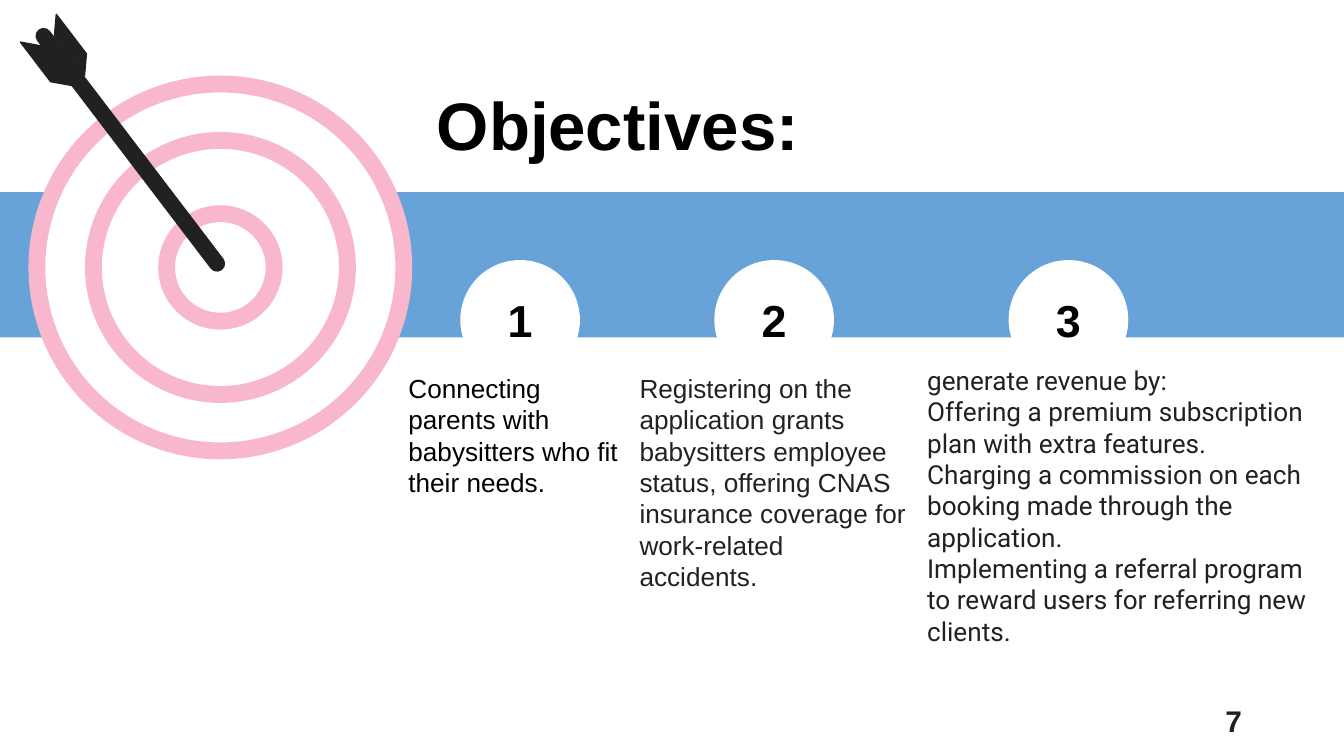
from pptx import Presentation
from pptx.dml.color import RGBColor
from pptx.enum import shapes, text
from pptx.util import Inches, Pt

BLUE, PINK, WHITE, BLACK, DARK = "67A3D9", "F8B7CD", "FFFFFF", "000000", "212121"
SHAPE = shapes.MSO_SHAPE
ALIGN = text.PP_ALIGN
ANCHOR = text.MSO_ANCHOR

OBJECTIVES = [
    {"circle": 3.43, "box": (2.94, 2.67, 1.85, 1.14), "font": "Arial", "color": BLACK,
     "lines": ["Connecting parents with babysitters who fit their needs."]},
    {"circle": 5.32, "box": (4.66, 2.67, 2.19, 1.62), "font": "Arial", "color": DARK,
     "lines": ["Registering on the application grants babysitters employee status, "
               "offering CNAS insurance coverage for work-related accidents."]},
    {"circle": 7.51, "box": (6.8, 2.61, 3.2, 2.32), "font": "Roboto", "color": DARK,
     "lines": ["generate revenue by:",
               "Offering a premium subscription plan with extra features.",
               "Charging a commission on each booking made through the application.",
               "Implementing a referral program to reward users for referring new clients."]},
]
TARGET_CENTER = (1.64, 1.99)
RING_SIZES = [2.73, 1.89, 0.8]
ARROW_ANGLE = 52.7
ARROW_PARTS = [
    (SHAPE.ROUNDED_RECTANGLE, (-0.15, 1.06, 2.24, 0.11), ARROW_ANGLE, True, 0.5),
    (SHAPE.PARALLELOGRAM, (0.28, 0.28, 0.49, 0.11), ARROW_ANGLE, True, 1.1),
    (SHAPE.PARALLELOGRAM, (0.1, 0.42, 0.49, 0.11), ARROW_ANGLE + 180, False, 1.1),
]


def rgb(value):
    return RGBColor.from_string(value)


def add_shape(parent, kind, place, fill, line=None, width=0.75):
    shape = parent.add_shape(kind, *map(Inches, place))
    shape.shadow.inherit = False
    shape.fill.solid()
    shape.fill.fore_color.rgb = rgb(fill)
    if line:
        shape.line.color.rgb = rgb(line)
        shape.line.width = Pt(width)
    else:
        shape.line.fill.background()
    return shape


def write(shape, lines, size, color, font="Arial", bold=False, align=ALIGN.LEFT,
          anchor=ANCHOR.TOP, insets=(0.1, 0.1), spacing=None):
    frame = shape.text_frame
    frame.word_wrap = True
    frame.auto_size = text.MSO_AUTO_SIZE.NONE
    frame.vertical_anchor = anchor
    frame.margin_left = frame.margin_right = Inches(insets[0])
    frame.margin_top = frame.margin_bottom = Inches(insets[1])
    for index, line in enumerate(lines):
        para = frame.add_paragraph() if index else frame.paragraphs[0]
        para.alignment = align
        if spacing:
            para.line_spacing = Pt(spacing)
        span = para.add_run()
        span.text = line
        span.font.name = font
        span.font.size = Pt(size)
        span.font.bold = bold
        span.font.color.rgb = rgb(color)


def add_target(page):
    target = page.shapes.add_group_shape().shapes
    x, y = TARGET_CENTER
    for size in RING_SIZES:
        place = (x - size / 2, y - size / 2, size, size)
        add_shape(target, SHAPE.FLOWCHART_CONNECTOR, place, WHITE, PINK, 9)
    for kind, place, angle, flipped, adjustment in ARROW_PARTS:
        part = add_shape(target, kind, place, DARK, DARK)
        part.adjustments[0] = adjustment
        part.rotation = angle
        if flipped:
            part.element.spPr.xfrm.set("flipH", "1")


def main():
    deck = Presentation()
    deck.slide_width = Inches(10)
    deck.slide_height = deck.slide_width * 9 // 16
    page = deck.slides.add_slide(deck.slide_layouts[5])

    title = page.shapes.title
    title.left, title.top, title.width, title.height = map(Inches, (3.15, 0.52, 3.71, 0.81))
    write(title, ["Objectives:"], 36, BLACK, bold=True)

    add_shape(page.shapes, SHAPE.RECTANGLE, (0, 1.43, 10, 1.08), BLUE)
    for number, item in enumerate(OBJECTIVES, 1):
        circle = add_shape(page.shapes, SHAPE.OVAL, (item["circle"], 1.94, 0.88, 0.88), WHITE, WHITE)
        write(circle, [str(number)], 24, BLACK, bold=True, align=ALIGN.CENTER, anchor=ANCHOR.MIDDLE)
    add_target(page)
    for item in OBJECTIVES:
        box = page.shapes.add_textbox(*map(Inches, item["box"]))
        write(box, item["lines"], 14, item["color"], item["font"], spacing=16.8)

    page_number = page.shapes.add_textbox(*map(Inches, (7.06, 5.21, 2.25, 0.3)))
    write(page_number, ["7"], 16, DARK, bold=True, align=ALIGN.RIGHT,
          anchor=ANCHOR.MIDDLE, insets=(0.07, 0.04))
    deck.save("out.pptx")


if __name__ == "__main__":
    main()
